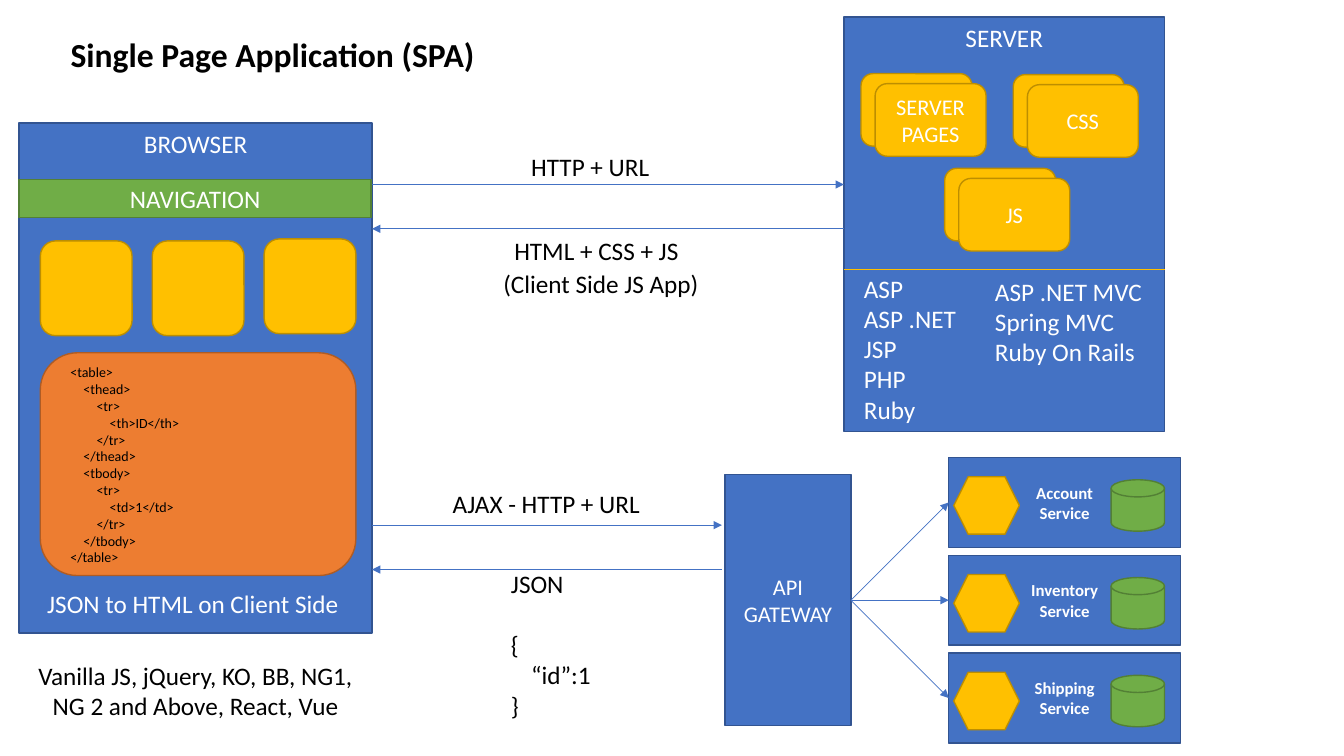
"""Build the Single Page Application architecture slide."""
from lxml import etree
from pptx import Presentation, util as u
from pptx.dml.color import RGBColor
from pptx.enum import shapes, text
from pptx.oxml.ns import qn

BLUE, BLUE_EDGE = RGBColor(0x44, 0x72, 0xC4), RGBColor(0x32, 0x54, 0x91)
GOLD, GOLD_EDGE = RGBColor(0xFF, 0xC0, 0x00), RGBColor(0xBD, 0x8E, 0x00)
GREEN, GREEN_EDGE = RGBColor(0x70, 0xAD, 0x47), RGBColor(0x53, 0x80, 0x35)
ORANGE, ORANGE_EDGE = RGBColor(0xED, 0x7D, 0x31), RGBColor(0xAF, 0x5C, 0x24)
WHITE, BLACK = RGBColor(0xFF, 0xFF, 0xFF), RGBColor(0, 0, 0)
EDGES = {BLUE: BLUE_EDGE, GOLD: GOLD_EDGE, GREEN: GREEN_EDGE, ORANGE: ORANGE_EDGE}

MSO = shapes.MSO_SHAPE
RECT, ROUND = MSO.RECTANGLE, MSO.ROUNDED_RECTANGLE
LEFT, CENTER = text.PP_ALIGN.LEFT, text.PP_ALIGN.CENTER
TOP, MIDDLE = text.MSO_ANCHOR.TOP, text.MSO_ANCHOR.MIDDLE


class Diagram:
    """Holds the text style and the slide being drawn."""

    font = "Calibri"

    def __init__(self, prs):
        self.s = prs.slides.add_slide(prs.slide_layouts[5])

    def place(self, sp, box):
        for name, value in zip(("left", "top", "width", "height"), box):
            setattr(sp, name, u.Inches(value))

    def fill_text(self, sp, lines, size, color, align, anchor, wrap, bold=False, indents=None):
        tf = sp.text_frame
        frame = {"word_wrap": wrap, "vertical_anchor": anchor,
                 "auto_size": text.MSO_AUTO_SIZE.NONE}
        for name, value in frame.items():
            setattr(tf, name, value)
        font = {"name": self.font, "size": u.Pt(size), "bold": bold}
        for i, line in enumerate(lines):
            p = tf.paragraphs[0] if i == 0 else tf.add_paragraph()
            p.alignment = align
            if indents and indents[i]:
                p._p.get_or_add_pPr().set("marL", str(u.Inches(indents[i])))
            r = p.add_run()
            r.text = line
            for name, value in font.items():
                setattr(r.font, name, value)
            r.font.color.rgb = color
        return tf

    def title(self, box, line, size):
        sp = self.s.shapes.title
        self.place(sp, box)
        self.fill_text(sp, [line], size, BLACK, LEFT, TOP, False, bold=True)

    def label(self, box, lines, size=18, color=BLACK, align=LEFT, wrap=False, indents=None):
        sp = self.s.shapes.add_textbox(*map(u.Inches, box))
        return self.fill_text(sp, lines, size, color, align, TOP, wrap, indents=indents)

    def group(self):
        return self.s.shapes.add_group_shape()

    def shape(self, kind, box, fill, lines=(), size=18, anchor=MIDDLE, bold=False, parent=None):
        sp = (parent or self.s).shapes.add_shape(kind, *map(u.Inches, box))
        sp.shadow.inherit = False
        sp.fill.solid()
        sp.fill.fore_color.rgb = fill
        sp.line.color.rgb = EDGES[fill]
        sp.line.width = u.Pt(1)
        if lines:
            self.fill_text(sp, lines, size, WHITE, CENTER, anchor, True, bold)
        return sp

    def line(self, start, end, color=BLUE, arrow=True, joined=None):
        cx = self.s.shapes.add_connector(shapes.MSO_CONNECTOR.STRAIGHT,
                                         *map(u.Inches, start + end))
        if joined:
            cx.begin_connect(joined[0], 3)
            cx.end_connect(joined[1], 1)
        cx.line.color.rgb = color
        cx.line.width = u.Pt(0.5)
        spPr = cx._element.spPr
        if arrow:
            etree.SubElement(spPr.find(qn("a:ln")), qn("a:tailEnd"), type="triangle")
        etree.SubElement(spPr, qn("a:effectLst"))

    def stack(self, x, y, caption):
        grp = self.group()
        self.shape(ROUND, (x, y, 1.1, 0.72), GOLD, parent=grp)
        self.shape(ROUND, (x + 0.14, y + 0.1, 1.1, 0.72), GOLD, [caption], 16, parent=grp)

    def service(self, x, y, name):
        grp = self.group()
        card = self.shape(RECT, (x, y, 2.3, 0.89), BLUE, [name, "Service"], 12,
                          bold=True, parent=grp)
        self.shape(MSO.HEXAGON, (x + 0.05, y + 0.19, 0.65, 0.57), GOLD, parent=grp)
        self.shape(MSO.FLOWCHART_MAGNETIC_DISK, (x + 1.61, y + 0.22, 0.53, 0.51),
                   GREEN, parent=grp)
        return card


def draw_server(d):
    d.shape(RECT, (8.37, 0.17, 3.18, 4.11), BLUE, ["SERVER"], anchor=TOP)
    d.label((8.47, 2.66, 1.21, 1.62), ["ASP", "ASP .NET", "JSP", "PHP", "Ruby"], color=WHITE)
    d.label((9.77, 2.69, 1.78, 1.01), ["ASP .NET MVC", "Spring MVC", "Ruby On Rails"],
            color=WHITE, wrap=True)
    for x, y, caption in ((8.54, 0.73, "SERVER PAGES"), (10.05, 0.74, "CSS"), (9.37, 1.67, "JS")):
        d.stack(x, y, caption)
    d.line((8.37, 2.67), (11.55, 2.67), GOLD, arrow=False)


def draw_browser(d):
    d.shape(RECT, (0.19, 1.22, 3.5, 5.06), BLUE, ["BROWSER"], anchor=TOP)
    d.shape(RECT, (0.19, 1.78, 3.49, 0.38), GREEN, ["NAVIGATION"])
    for i, y in enumerate((2.39, 2.39, 2.37)):
        d.shape(ROUND, (0.4 + i * 1.11, y, 0.91, 0.94), GOLD)
    d.shape(ROUND, (0.4, 3.5, 3.13, 2.21), ORANGE)
    code = ["<table>", "<thead>", "<tr>", "<th>ID</th>", "</tr>", "</thead>",
            "<tbody>", "<tr>", "<td>1</td>", "</tr>", "</tbody>", "</table>"]
    levels = (0, 1, 2, 3, 2, 1, 1, 2, 3, 2, 1, 0)
    d.label((0.6, 3.56, 2.44, 2.12), code, 10, wrap=True,
            indents=[level * 0.13 for level in levels])
    d.label((0.37, 5.79, 3.13, 0.4), ["JSON to HTML on Client Side"], color=WHITE)
    d.label((0.26, 6.5, 3.36, 0.71),
            ["Vanilla JS, jQuery, KO, BB, NG1,", "NG 2 and Above, React, Vue"], align=CENTER)


def draw_traffic(d):
    for y, right in ((1.83, 8.37), (5.21, 7.16)):
        d.line((3.69, y), (right, y))
        d.line((right, y + 0.44), (3.69, y + 0.44))
    d.label((5.17, 1.45, 1.39, 0.4), ["HTTP + URL"])
    d.label((4.99, 2.29, 1.85, 0.4), ["HTML + CSS + JS"], align=CENTER)
    d.label((4.69, 2.61, 2.54, 0.4), ["(Client Side JS App)"], align=CENTER, wrap=True)
    d.label((4.39, 4.8, 2.08, 0.4), ["AJAX - HTTP + URL"])
    tf = d.label((4.97, 5.59, 1, 1.62), ["JSON", "{", "“id”:1", "}"], indents=(0, 0, 0.2, 0))
    tf.paragraphs[1].space_before = u.Pt(22)


def draw_services(d):
    gateway = d.shape(RECT, (7.19, 4.71, 1.25, 2.49), BLUE, ["API GATEWAY"], 16)
    cards = [d.service(9.41, 4.54 + i * 0.97, name)
             for i, name in enumerate(("Account", "Inventory", "Shipping"))]
    for card in cards:
        d.line((8.44, 5.95), (9.41, 5.95), joined=(gateway, card))


def main():
    prs = Presentation()
    prs.slide_width, prs.slide_height = u.Inches(13.33), u.Inches(7.5)
    d = Diagram(prs)
    d.title((0.6, 0.29, 4.25, 0.5), "Single Page Application (SPA)", 24)
    draw_server(d)
    draw_browser(d)
    draw_traffic(d)
    draw_services(d)
    prs.save("out.pptx")


if __name__ == "__main__":
    main()
